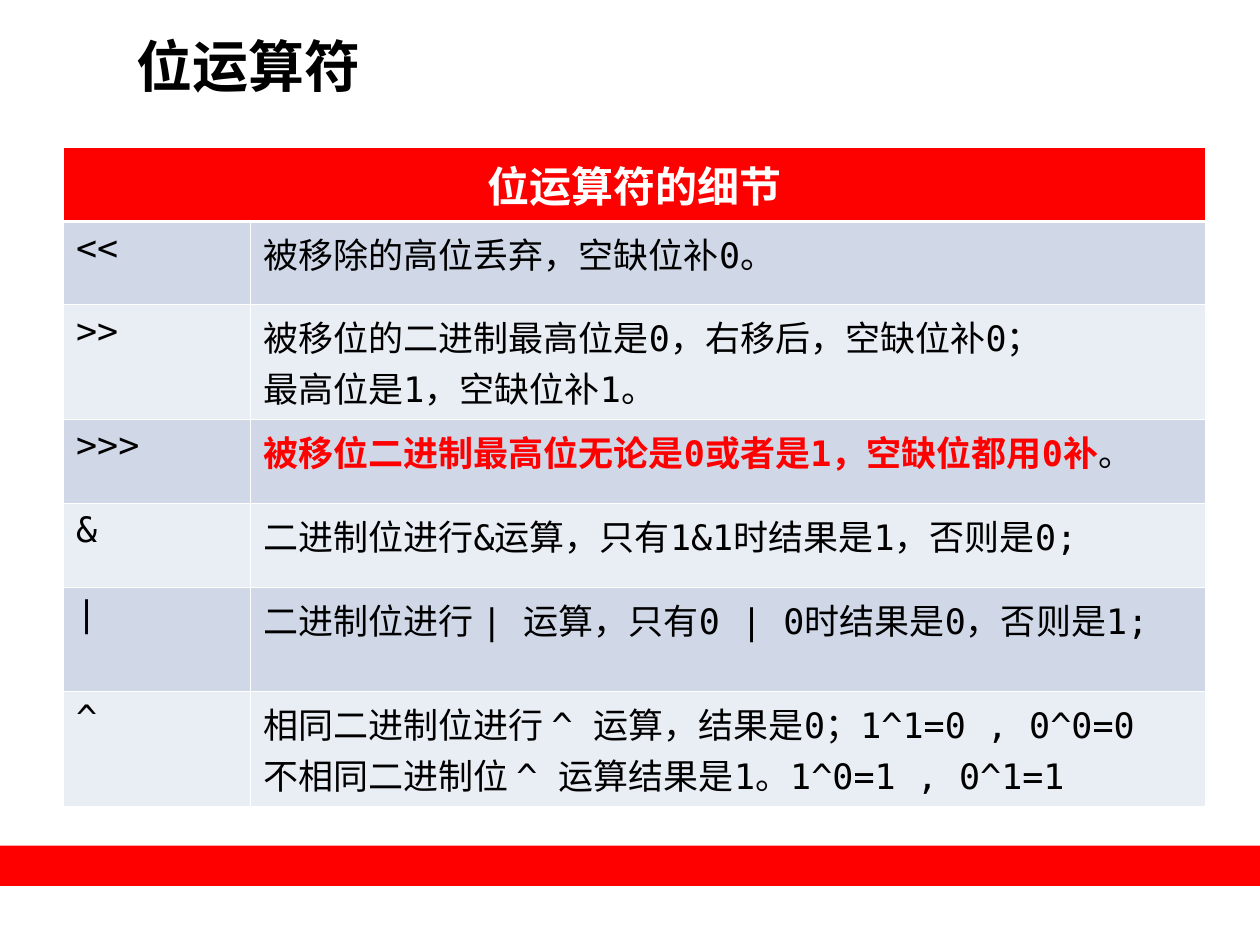
from lxml import etree
from pptx import Presentation
from pptx.dml.color import RGBColor
from pptx.enum.shapes import MSO_SHAPE
from pptx.enum.text import MSO_ANCHOR, PP_ALIGN
from pptx.oxml.ns import qn
from pptx.util import Cm, Pt

RECT = MSO_SHAPE.RECTANGLE
TOP = MSO_ANCHOR.TOP
LEFT, CENTER = PP_ALIGN.LEFT, PP_ALIGN.CENTER

FONT = "DejaVu Sans Mono"
BLACK, WHITE, RED = "000000", "FFFFFF", "FF0000"
HEADER_FILL = "FD0000"
BANDS = ["D0D8E8", "E9EDF4"]
THIN, THICK = 0.45, 1.47

HEADING = "位运算符的细节"
OPERATORS = [
    ("<<", "被移除的高位丢弃，空缺位补0。"),
    (">>", "被移位的二进制最高位是0，右移后，空缺位补0；\n最高位是1，空缺位补1。"),
    (">>>", "被移位二进制最高位无论是0或者是1，空缺位都用0补"),
    ("&", "二进制位进行&运算，只有1&1时结果是1，否则是0;"),
    ("|", "二进制位进行 | 运算，只有0 | 0时结果是0，否则是1;"),
    ("^", "相同二进制位进行 ^ 运算，结果是0；1^1=0 , 0^0=0\n"
          "不相同二进制位 ^ 运算结果是1。1^0=1 , 0^1=1"),
]
COL_WIDTHS = [3.77, 19.24]
ROW_HEIGHTS = [1.27, 1.68, 1.96, 1.7, 1.7, 1.7, 1.96]


def rgb(value):
    return RGBColor.from_string(value)


class Deck:
    def __init__(self, prs):
        self.prs = prs
        self.s = prs.slides.add_slide(prs.slide_layouts[5])

    def style_run(self, r, size, color=BLACK, bold=False):
        r.font.name = FONT
        r.font.size = Pt(size)
        r.font.bold = bold
        r.font.color.rgb = rgb(color)

    def set_text(self, tf, text, size, color=BLACK, bold=False, align=LEFT):
        tf.text = text
        for p in tf.paragraphs:
            p.alignment = align
            for r in p.runs:
                self.style_run(r, size, color, bold)

    def title(self, text, left, top, width, height):
        sp = self.s.shapes.title
        sp.left, sp.top, sp.width, sp.height = Cm(left), Cm(top), Cm(width), Cm(height)
        tf = sp.text_frame
        tf.margin_left = tf.margin_top = tf.margin_right = tf.margin_bottom = 0
        tf.vertical_anchor = TOP
        self.set_text(tf, text, 32, bold=True)

    def bar(self, left, top, width, height, color):
        sp = self.s.shapes.add_shape(RECT, Cm(left), Cm(top), Cm(width), Cm(height))
        sp.shadow.inherit = False
        sp.fill.solid()
        sp.fill.fore_color.rgb = rgb(color)
        sp.line.fill.background()

    def table(self, left, top, widths, heights):
        frame = self.s.shapes.add_table(len(heights), len(widths), Cm(left), Cm(top),
                                        Cm(sum(widths)), Cm(sum(heights)))
        table = frame.table
        for column, width in zip(table.columns, widths):
            column.width = Cm(width)
        for row, height in zip(table.rows, heights):
            row.height = Cm(height)
        return table

    def paint_cell(self, cell, fill, top=THIN, bottom=THIN):
        tcPr = cell._tc.get_or_add_tcPr()
        for tag, width in (("lnL", THIN), ("lnR", THIN), ("lnT", top), ("lnB", bottom)):
            ln = etree.SubElement(tcPr, qn(f"a:{tag}"), w=str(Pt(width)))
            solid = etree.SubElement(ln, qn("a:solidFill"))
            etree.SubElement(solid, qn("a:srgbClr"), val=WHITE)
        cell.fill.solid()
        cell.fill.fore_color.rgb = rgb(fill)


def main():
    prs = Presentation()
    prs.slide_width, prs.slide_height = Cm(25.4), Cm(19.05)
    deck = Deck(prs)

    # Footer band and title
    deck.bar(0, 17.05, 25.4, 0.81, RED)
    deck.title("位运算符", 2.75, 0.63, 21.84, 1.9)

    # Table heading across both columns
    table = deck.table(1.28, 2.98, COL_WIDTHS, ROW_HEIGHTS)
    heading = table.cell(0, 0)
    heading.merge(table.cell(0, 1))
    for col in range(2):
        deck.paint_cell(table.cell(0, col), HEADER_FILL, bottom=THICK)
    deck.set_text(heading.text_frame, HEADING, 24, WHITE, True, CENTER)

    # One row per operator
    for row, texts in enumerate(OPERATORS, start=1):
        for col, text in enumerate(texts):
            cell = table.cell(row, col)
            deck.paint_cell(cell, BANDS[(row - 1) % 2], top=THICK if row == 1 else THIN)
            deck.set_text(cell.text_frame, text, 20)

    # Emphasis on the unsigned shift rule, with a plain full stop
    p = table.cell(3, 1).text_frame.paragraphs[0]
    deck.style_run(p.runs[0], 20, RED, True)
    r = p.add_run()
    r.text = "。"
    deck.style_run(r, 20)

    prs.save("out.pptx")


if __name__ == "__main__":
    main()
